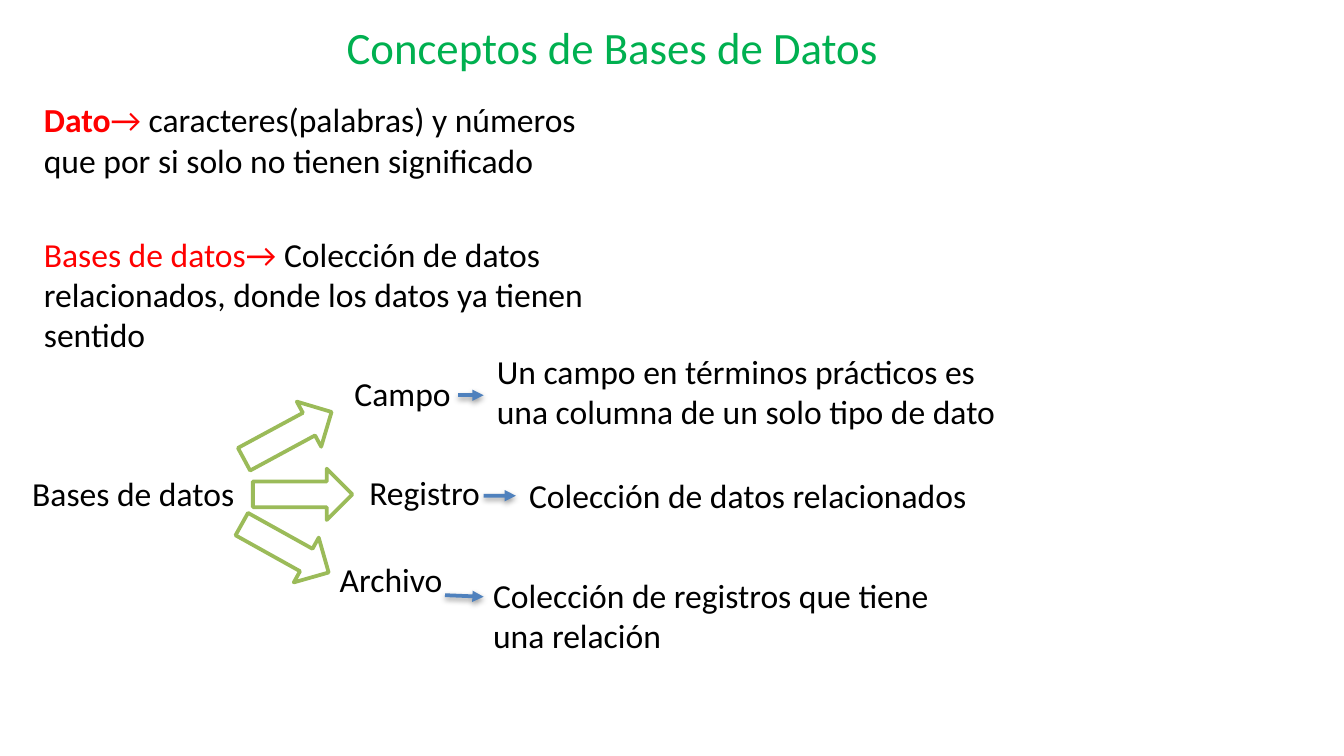
"""Build the slide "Conceptos de Bases de Datos"."""
import dataclasses

import lxml.etree
import pptx
import pptx.dml.color
import pptx.enum.shapes
import pptx.enum.text
import pptx.oxml
import pptx.oxml.ns
import pptx.util

Cm = pptx.util.Cm
Pt = pptx.util.Pt
RGB = pptx.dml.color.RGBColor


@dataclasses.dataclass(frozen=True)
class Theme:
    font: str = "Calibri"
    title_size: int = 24
    body_size: int = 18
    line_width: int = 2
    title: RGB = RGB(0x00, 0xB0, 0x50)
    term: RGB = RGB(0xFF, 0x00, 0x00)
    body: RGB = RGB(0x00, 0x00, 0x00)
    arrow_fill: RGB = RGB(0xFF, 0xFF, 0xFF)
    arrow_line: RGB = RGB(0x9B, 0xBB, 0x59)
    link: RGB = RGB(0x4F, 0x81, 0xBD)


theme = Theme()
SHADOW = (
    f'<a:effectLst {pptx.oxml.ns.nsdecls("a")}>'
    f'<a:outerShdw blurRad="{Pt(3.1)}" dist="{Pt(1.6)}" dir="5400000" rotWithShape="0">'
    '<a:srgbClr val="000000"><a:alpha val="38000"/></a:srgbClr>'
    '</a:outerShdw></a:effectLst>'
)

deck = pptx.Presentation()
deck.slide_width = Cm(25.4)
deck.slide_height = Cm(14.29)
slide = deck.slides.add_slide(deck.slide_layouts[6])


def add_text(box, runs, size=theme.body_size):
    text_box = slide.shapes.add_textbox(*map(Cm, box))
    frame = text_box.text_frame
    frame.word_wrap = True
    frame.auto_size = pptx.enum.text.MSO_AUTO_SIZE.SHAPE_TO_FIT_TEXT
    for text, color, bold in runs:
        run = frame.paragraphs[0].add_run()
        run.text = text
        run.font.name = theme.font
        run.font.size = Pt(size)
        run.font.bold = bold
        run.font.color.rgb = color
    return text_box


add_text((6.3, 0.25, 12.83, 1.27),
         [("Conceptos de Bases de Datos", theme.title, False)], theme.title_size)
add_text((0.58, 1.75, 11.43, 1.8), [
    ("Dato", theme.term, True),
    ("→ ", theme.term, False),
    ("caracteres(palabras) y números que por si solo no tienen significado",
     theme.body, False),
])
add_text((0.58, 4.29, 11.43, 2.57), [
    ("Bases de datos→ ", theme.term, False),
    ("Colección de datos relacionados, donde los datos ya tienen sentido",
     theme.body, False),
])
add_text((0.36, 8.81, 4.85, 1.02), [("Bases de datos", theme.body, False)])

branches = [
    ((4.5, 7.75), 331.6, "Campo", (6.45, 6.93, 2.95, 1.02),
     "Un campo en términos prácticos es una columna de un solo tipo de dato",
     (9.14, 6.5, 10.31, 1.8), (8.66, 7.47, 9.14, 7.47), False),
    ((4.78, 8.86), 0, "Registro", (6.73, 8.79, 3.38, 1.02),
     "Colección de datos relacionados",
     (9.75, 8.86, 10.19, 1.02), (9.14, 9.37, 9.75, 9.37), True),
    ((4.45, 9.88), 29.1, "Archivo", (6.17, 10.44, 3.94, 1.02),
     "Colección de registros que tiene una relación",
     (9.07, 10.74, 9.75, 1.8), (8.41, 11.25, 9.14, 11.28), False),
]
for corner, angle, part, part_box, meaning, meaning_box, ends, joined in branches:
    branch_arrow = slide.shapes.add_shape(
        pptx.enum.shapes.MSO_SHAPE.RIGHT_ARROW, *map(Cm, corner), Cm(1.88), Cm(0.97))
    branch_arrow.rotation = angle
    branch_arrow.shadow.inherit = False
    branch_arrow.fill.solid()
    branch_arrow.fill.fore_color.rgb = theme.arrow_fill
    branch_arrow.line.color.rgb = theme.arrow_line
    branch_arrow.line.width = Pt(theme.line_width)

    add_text(part_box, [(part, theme.body, False)])
    definition = add_text(meaning_box, [(meaning, theme.body, False)])

    link = slide.shapes.add_connector(
        pptx.enum.shapes.MSO_CONNECTOR.STRAIGHT, *map(Cm, ends))
    if joined:
        link.end_connect(definition, 1)
    link.line.color.rgb = theme.link
    link.line.width = Pt(theme.line_width)
    lxml.etree.SubElement(link.line._get_or_add_ln(),
                          pptx.oxml.ns.qn("a:tailEnd"), type="triangle")
    link._element.spPr.append(pptx.oxml.parse_xml(SHADOW))

deck.save("out.pptx")
